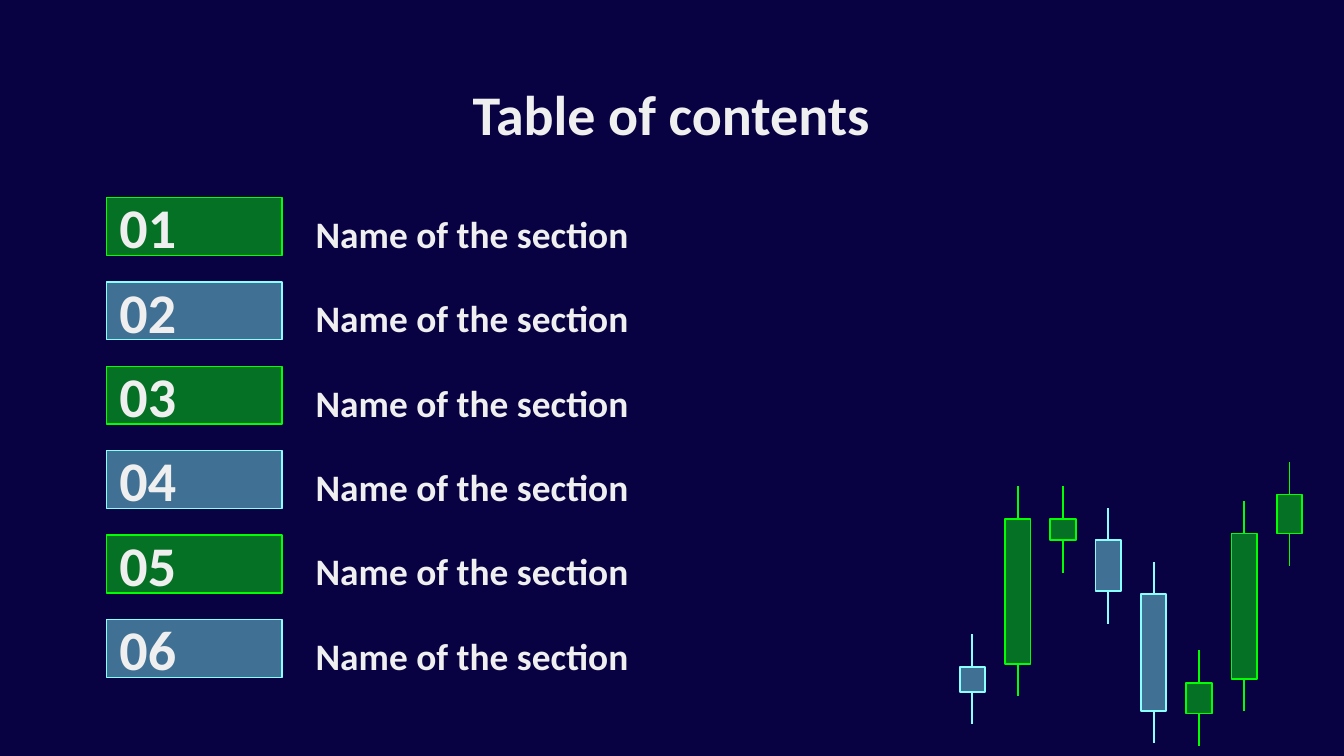
import pptx
import pptx.util
import pptx.dml.color
import pptx.enum.shapes
import pptx.enum.text
import pptx.oxml.ns
import lxml.etree

Inches = pptx.util.Inches
Pt = pptx.util.Pt
COLORS = {"back": "080243", "text": "EFEFEF", "green": "00FF00", "blue": "89FFFF"}


def color(name):
    return pptx.dml.color.RGBColor.from_string(COLORS[name])


def write(shape, text, size=20, align="LEFT", anchor="TOP", font="Calibri"):
    frame = shape.text_frame
    frame.word_wrap = True
    frame.vertical_anchor = getattr(pptx.enum.text.MSO_ANCHOR, anchor)
    frame.margin_left = frame.margin_right = Inches(0.1)
    frame.margin_top = frame.margin_bottom = Inches(0.1)
    para = frame.paragraphs[0]
    para.alignment = getattr(pptx.enum.text.PP_ALIGN, align)
    run = para.add_run()
    run.text = text
    run.font.name = font
    run.font.size = Pt(size)
    run.font.bold = True
    run.font.color.rgb = color("text")


class Deck:
    alpha = 44000
    wick = 0.24

    def __init__(self, slide):
        self.slide = slide
        slide.background.fill.solid()
        slide.background.fill.fore_color.rgb = color("back")

    def label(self, text, left, top, width, height, **style):
        box = self.slide.shapes.add_textbox(
            Inches(left), Inches(top), Inches(width), Inches(height))
        write(box, text, **style)

    def block(self, left, top, width, height, tone, line=0.75):
        shape = self.slide.shapes.add_shape(
            pptx.enum.shapes.MSO_SHAPE.RECTANGLE,
            Inches(left), Inches(top), Inches(width), Inches(height))
        shape.shadow.inherit = False
        shape.fill.solid()
        shape.fill.fore_color.rgb = color(tone)
        shape.line.color.rgb = color(tone)
        shape.line.width = Pt(line)
        qn = pptx.oxml.ns.qn
        fill = shape._element.spPr.find(qn("a:solidFill"))
        lxml.etree.SubElement(fill[0], qn("a:alpha"), val=str(self.alpha))
        return shape

    def stem(self, mid, top, end, tone):
        line = self.slide.shapes.add_connector(
            pptx.enum.shapes.MSO_CONNECTOR.STRAIGHT,
            Inches(mid), Inches(top), Inches(mid), Inches(end))
        line.line.color.rgb = color(tone)
        line.line.width = Pt(1)
        lxml.etree.SubElement(
            line._element.spPr, pptx.oxml.ns.qn("a:effectLst"))

    def candle(self, left, top, end, tone, width=0.19):
        mid = left + width / 2
        self.block(left, top, width, end - top, tone, line=1)
        self.stem(mid, top - self.wick, top, tone)
        self.stem(mid, end, end + self.wick, tone)


def main():
    show = pptx.Presentation()
    show.slide_width = Inches(10)
    show.slide_height = Inches(10 * 9 / 16)
    deck = Deck(show.slides.add_slide(show.slide_layouts[6]))

    deck.label("Table of contents", 0.78, 0.49, 8.43, 0.63, size=30, align="CENTER")

    row_gap = (4.61 - 1.47) / 5
    for row in range(6):
        top = 1.47 + row * row_gap
        tone = ("green", "blue")[row % 2]
        block = deck.block(0.79, top, 1.31, 0.43, tone)
        write(block, f"{row + 1:02}", size=30, anchor="MIDDLE")
        deck.label("Name of the section", 2.25, top, 3.51, 0.43)

    candles = [
        (4.96, 5.15, "blue"), (3.86, 4.94, "green"),
        (3.86, 4.02, "green"), (4.02, 4.4, "blue"),
        (4.42, 5.29, "blue"), (5.08, 5.31, "green"),
        (3.97, 5.05, "green"), (3.68, 3.97, "green"),
    ]
    gap = (9.5 - 7.14) / (len(candles) - 1)
    for col, (top, end, tone) in enumerate(candles):
        deck.candle(7.14 + col * gap, top, end, tone)

    show.save("out.pptx")


if __name__ == "__main__":
    main()
